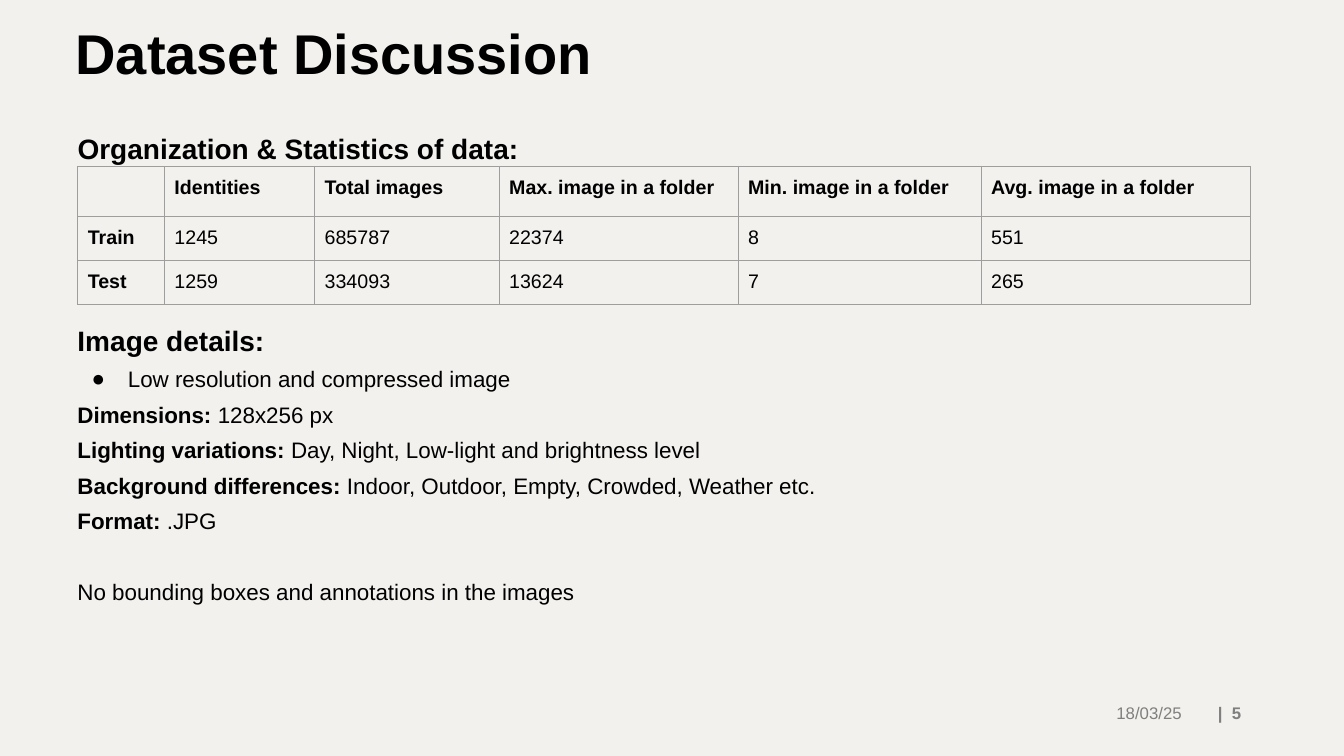
from lxml.etree import SubElement as Sub
from pptx import Presentation
from pptx.dml.color import RGBColor
from pptx.enum.text import MSO_ANCHOR as Anchor, PP_ALIGN as Align
from pptx.oxml.ns import qn
from pptx.util import Emu, Inches, Pt

WIDE, HIGH = Inches(13.33), Inches(7.5)
PAPER, INK, GRAY, RULE = "F2F1EE", "000000", "7F7F7F", "9E9E9E"

HEAD = ["", "Identities", "Total images", "Max. image in a folder",
        "Min. image in a folder", "Avg. image in a folder"]
DATA = [["Train", "1245", "685787", "22374", "8", "551"],
        ["Test", "1259", "334093", "13624", "7", "265"]]
COLS = [0.86, 1.49, 1.83, 2.37, 2.41, 2.67]
ROWS = [0.5, 0.43, 0.43]
FACTS = [("Dimensions: ", "128x256 px"),
         ("Lighting variations: ", "Day, Night, Low-light and brightness level"),
         ("Background differences: ", "Indoor, Outdoor, Empty, Crowded, Weather etc."),
         ("Format:", " .JPG")]


def hue(code):
    return RGBColor.from_string(code)


def area(left, top, width, height):
    """Turn percentages of the slide into lengths."""
    return [Emu(int(part * side / 100)) for part, side in
            zip((left, top, width, height), (WIDE, HIGH, WIDE, HIGH))]


def write(para, text, size=16, bold=False, color=INK):
    run = para.add_run()
    run.text = text
    font = run.font
    font.name, font.size, font.bold = "Arial", Pt(size), bold
    font.color.rgb = hue(color)


def frame(slide, box, pad=0.1, anchor=Anchor.TOP):
    text = slide.shapes.add_textbox(*box).text_frame
    text.word_wrap = True
    text.vertical_anchor = anchor
    text.margin_top = text.margin_bottom = Inches(pad)
    return text


def label(slide, box, text, pad=0.1, anchor=Anchor.TOP, align=Align.LEFT,
          line=1, gap=0, **style):
    para = frame(slide, box, pad, anchor).paragraphs[0]
    para.alignment, para.line_spacing = align, line
    para.space_before = Pt(gap)
    write(para, text, **style)


def border(cell):
    props = cell._tc.get_or_add_tcPr()
    for side in ("lnL", "lnR", "lnT", "lnB"):
        line = Sub(props, qn("a:" + side), w=str(Pt(0.75)))
        Sub(Sub(line, qn("a:solidFill")), qn("a:srgbClr"), val=RULE)


def stats(slide, box):
    grid = slide.shapes.add_table(len(ROWS), len(COLS), *box).table
    grid.first_row = grid.horz_banding = False
    for col, share in zip(grid.columns, COLS):
        col.width = int(box[2] * share / sum(COLS))
    for row, share in zip(grid.rows, ROWS):
        row.height = int(box[3] * share / sum(ROWS))
    for r, words in enumerate([HEAD] + DATA):
        for c, word in enumerate(words):
            cell = grid.cell(r, c)
            cell.margin_left = cell.margin_right = Inches(0.1)
            cell.margin_top = cell.margin_bottom = Inches(0.1)
            border(cell)
            cell.fill.background()
            if word:
                write(cell.text_frame.paragraphs[0], word, 14, r == 0 or c == 0)


def bullet(para):
    props = para._p.get_or_add_pPr()
    props.set("marL", str(Inches(0.5)))
    props.set("indent", str(Inches(-0.36)))
    Sub(Sub(props, qn("a:buClr")), qn("a:srgbClr"), val=INK)
    Sub(props, qn("a:buFont"), typeface="Arial")
    Sub(props, qn("a:buChar"), char="●")


def details(slide, box):
    text = frame(slide, box)

    def line(gap=10):
        para = text.add_paragraph() if text.paragraphs[0].runs else text.paragraphs[0]
        para.line_spacing, para.space_before = 0.8, Pt(gap)
        return para

    write(line(), "Image details:", 20, True)
    item = line()
    bullet(item)
    write(item, "Low resolution and compressed image")
    for name, value in FACTS:
        para = line()
        write(para, name, bold=True)
        write(para, value)
    write(line(gap=35.3), "No bounding boxes and annotations in the images")


def footer(slide, left, width, text, bold=False):
    label(slide, area(left, 91.6, width, 5.47), text, pad=0.05,
          anchor=Anchor.MIDDLE, align=Align.RIGHT, size=12, bold=bold, color=GRAY)


def main():
    deck = Presentation()
    deck.slide_width, deck.slide_height = WIDE, HIGH
    slide = deck.slides.add_slide(deck.slide_layouts[6])
    fill = slide.background.fill
    fill.solid()
    fill.fore_color.rgb = hue(PAPER)

    # Title
    label(slide, area(4.88, 0, 86.27, 12.13), "Dataset Discussion", pad=0.05,
          anchor=Anchor.BOTTOM, line=0.9, size=40, bold=True)
    # Statistics
    label(slide, area(5.03, 13.87, 40, 7.2), "Organization & Statistics of data:",
          line=1.5, gap=10, size=20, bold=True)
    stats(slide, area(5.78, 22, 87.25, 18.13))
    # Image details
    details(slide, area(5.03, 42.27, 61, 39.47))
    # Footer
    footer(slide, 65.04, 23.63, "18/03/25")
    footer(slide, 88.6, 4.5, "|  5", bold=True)

    deck.save("out.pptx")


if __name__ == "__main__":
    main()
